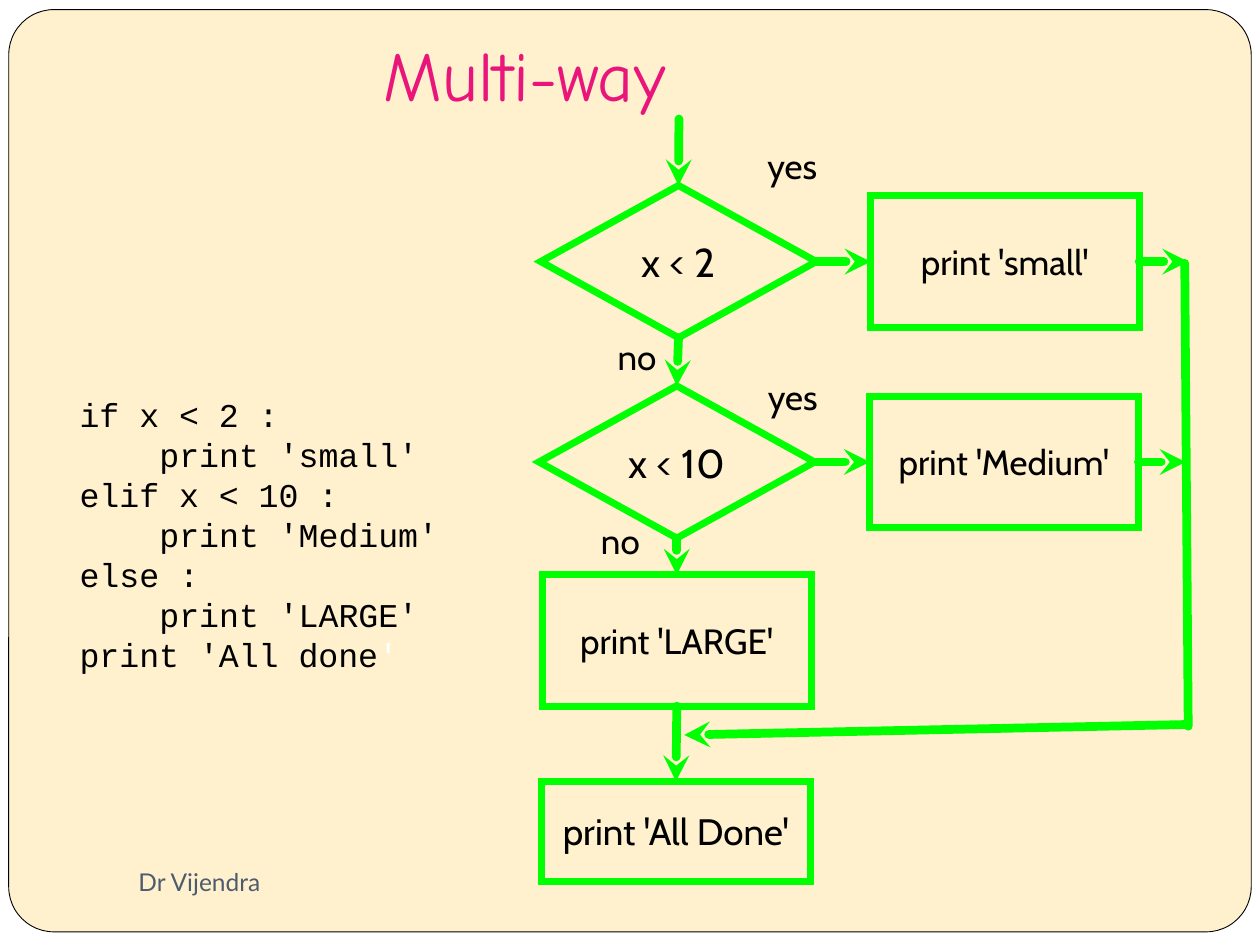
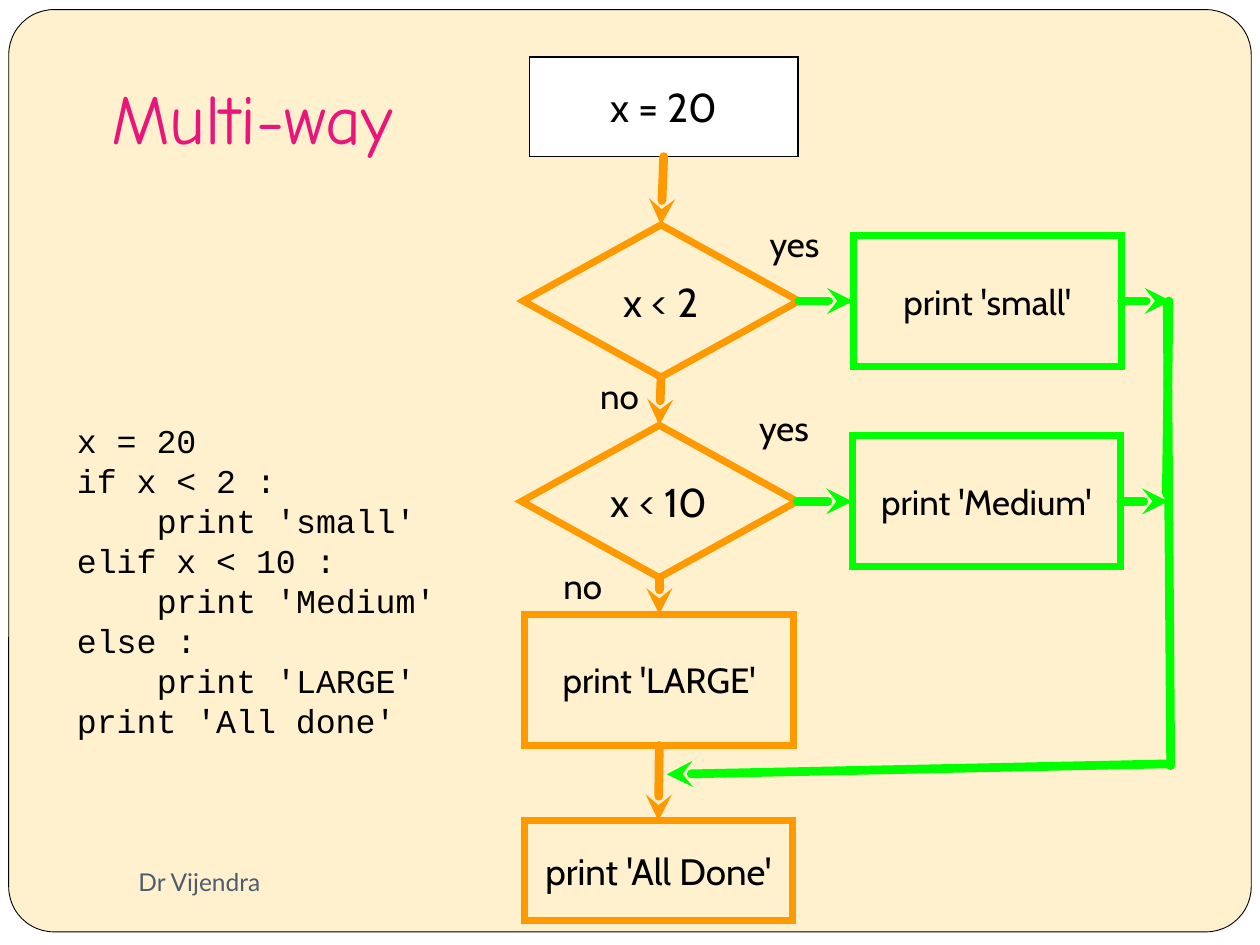
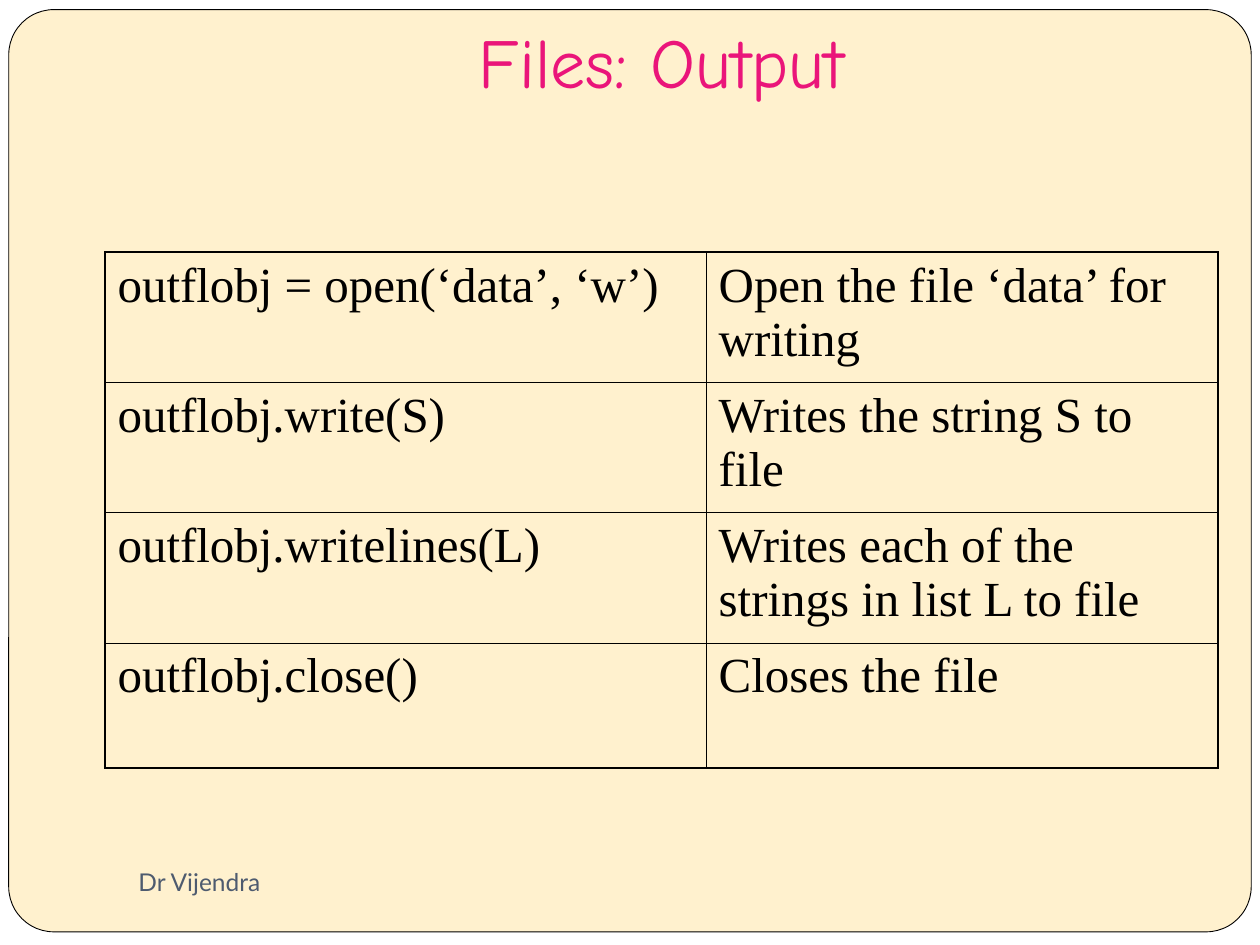
"""Build three slides on multi-way branching and file output."""
from lxml import etree
from pptx import Presentation
from pptx.dml.color import RGBColor
from pptx.enum.shapes import MSO_CONNECTOR, MSO_SHAPE
from pptx.enum.text import MSO_ANCHOR, PP_ALIGN
from pptx.oxml.ns import qn
from pptx.util import Pt

RECT, DIAMOND = MSO_SHAPE.RECTANGLE, MSO_SHAPE.DIAMOND
ROUNDED = MSO_SHAPE.ROUNDED_RECTANGLE
STRAIGHT = MSO_CONNECTOR.STRAIGHT
LEFT, CENTER = PP_ALIGN.LEFT, PP_ALIGN.CENTER
TOP, MIDDLE, BOTTOM = MSO_ANCHOR.TOP, MSO_ANCHOR.MIDDLE, MSO_ANCHOR.BOTTOM
SIDE_TOP, SIDE_LEFT, SIDE_BOTTOM, SIDE_RIGHT = range(4)

COLORS = {
    "page": "FFFFFF", "card": "FFF1CE", "title": "EA157A", "text": "000000",
    "footer": "4E5B6F", "green": "00FF00", "orange": "FF9900",
}
TITLE_FONT, CODE_FONT, CHART_FONT = "Comic Neue", "Courier New", "Cabin"
FOOTER_FONT, TABLE_FONT = "Lato", "Times New Roman"

CODE_SIZE = 19
CODE_INDENT = 4 * 0.6 * CODE_SIZE
BOX_W, BOX_H, SHORT_H = 153.5, 75, 57
DIAMOND_W, DIAMOND_H = 157.5, 87
LABEL_H = 33

BRANCH_CODE = [
    (0, "if x < 2 :"), (1, "print 'small'"),
    (0, "elif x < 10 :"), (1, "print 'Medium'"),
    (0, "else :"), (1, "print 'LARGE'"),
]
FILE_CALLS = [
    ("outflobj = open(‘data’, ‘w’)", "Open the file ‘data’ for writing"),
    ("outflobj.write(S)", "Writes the string S to file"),
    ("outflobj.writelines(L)", "Writes each of the strings in list L to file"),
    ("outflobj.close()", "Closes the file"),
]


def rgb(name):
    """Return the named colour."""
    return RGBColor.from_string(COLORS[name])


def style_run(r, font, size, color="text"):
    """Set font, size and colour of a run."""
    r.font.name, r.font.size = font, Pt(size)
    r.font.color.rgb = rgb(color)


def write(tf, text, font, size, color="text", align=CENTER, anchor=MIDDLE, insets=(0, 0, 0, 0)):
    """Fill a text frame and format all its runs."""
    tf.word_wrap, tf.vertical_anchor = True, anchor
    tf.margin_left, tf.margin_top, tf.margin_right, tf.margin_bottom = map(Pt, insets)
    tf.text = text
    for p in tf.paragraphs:
        p.alignment = align
        for r in p.runs:
            style_run(r, font, size, color)


def add_text(s, box, *args, **kwargs):
    """Add a text box and return its text frame."""
    tf = s.shapes.add_textbox(*map(Pt, box)).text_frame
    write(tf, *args, **kwargs)
    return tf


def add_box(s, kind, box, fill=None, line=None, width=4.0):
    """Add a preset shape with optional fill and a sharp outline."""
    sp = s.shapes.add_shape(kind, *map(Pt, box))
    sp.shadow.inherit = False
    if fill:
        sp.fill.solid()
        sp.fill.fore_color.rgb = rgb(fill)
    else:
        sp.fill.background()
    if line:
        sp.line.color.rgb, sp.line.width = rgb(line), Pt(width)
        etree.SubElement(sp.line._get_or_add_ln(), qn("a:miter"), lim="800000")
    else:
        sp.line.fill.background()
    return sp


def add_node(s, kind, box, text, size, line, fill=None, width=4.0):
    """Add a flowchart node with its text."""
    sp = add_box(s, kind, box, fill, line, width)
    write(sp.text_frame, text, CHART_FONT, size)
    return sp


def add_link(s, start, end, color, arrow=True):
    """Join two ends, each a point or a (shape, side) pair."""
    points = [(0, 0) if hasattr(e[0], "shape_id") else e for e in (start, end)]
    cx = s.shapes.add_connector(STRAIGHT, *(Pt(v) for point in points for v in point))
    for e, connect in ((start, cx.begin_connect), (end, cx.end_connect)):
        if hasattr(e[0], "shape_id"):
            connect(*e)
    cx.line.color.rgb, cx.line.width = rgb(color), Pt(5)
    ln = cx.line._get_or_add_ln()
    ln.set("cap", "rnd")
    if arrow:
        etree.SubElement(ln, qn("a:tailEnd"), type="stealth")
    etree.SubElement(cx._element.spPr, qn("a:effectLst"))


def add_slide(prs, title, box, anchor=MIDDLE, insets=(2, 2, 2, 2)):
    """Add a slide with the shared card, title and footer."""
    s = prs.slides.add_slide(prs.slide_layouts[6])
    s.background.fill.solid()
    s.background.fill.fore_color.rgb = rgb("card")
    add_box(s, RECT, (0, 0, 720, 540), "page")
    card = add_box(s, ROUNDED, (5, 5.5, 710, 527), "card", "text", 0.5)
    card.adjustments[0] = 0.049
    add_text(s, box, title, TITLE_FONT, 40, "title", anchor=anchor, insets=insets)
    tf = add_text(s, (72, 486, 312, 36), "Dr Vijendra", FOOTER_FONT, 14, "footer",
                  align=LEFT, insets=(7.2, 3.6, 7.2, 3.6))
    tf.paragraphs[0].space_before = Pt(8.8)
    return s


def add_code(s, box, lines):
    """Add a listing of (level, text) lines and return its text frame."""
    tf = add_text(s, box, "\n".join(text for _, text in lines), CODE_FONT, CODE_SIZE, align=LEFT)
    for p, (level, _) in zip(tf.paragraphs, lines):
        p._p.get_or_add_pPr().set("marL", str(Pt(level * CODE_INDENT)))
    return tf


def add_flowchart(s, dx, dy, color, labels):
    """Draw the branching flowchart shifted by dx, dy; return its first test."""
    def at(x, y):
        return x + dx, y + dy

    def node(kind, x, y, w, h, text, size, line):
        return add_node(s, kind, (*at(x, y), w, h), text, size, line)

    test_2 = node(DIAMOND, 309, 106, DIAMOND_W, DIAMOND_H, "x < 2", 23, color)
    test_10 = node(DIAMOND, 308, 220.5, DIAMOND_W, DIAMOND_H, "x < 10", 23, color)
    small = node(RECT, 497.5, 112, BOX_W, BOX_H, "print 'small'", 20, "green")
    medium = node(RECT, 497, 226.5, BOX_W, BOX_H, "print 'Medium'", 20, "green")
    large = node(RECT, 310, 328.5, BOX_W, BOX_H, "print 'LARGE'", 20, color)
    done = node(RECT, 309.5, 446.5, BOX_W, SHORT_H, "print 'All Done'", 21, color)

    for upper, lower in ((test_2, test_10), (test_10, large), (large, done)):
        add_link(s, (upper, SIDE_BOTTOM), (lower, SIDE_TOP), color)
    for test, result, exit_point in ((test_2, small, (679, 149.5)), (test_10, medium, (677.5, 264))):
        add_link(s, (test, SIDE_RIGHT), (result, SIDE_LEFT), "green")
        add_link(s, (result, SIDE_RIGHT), at(*exit_point), "green")
    add_link(s, at(677, 150.5), at(679, 415), "green", arrow=False)
    add_link(s, at(678.5, 414), at(391, 420), "green")

    for text, x, y, w in labels:
        add_text(s, (x, y, w, LABEL_H), text, CHART_FONT, 20)
    return test_2


def add_border(cell, side, width):
    """Draw one side of a cell's border."""
    ln = etree.SubElement(cell._tc.get_or_add_tcPr(), qn(f"a:{side}"), w=str(Pt(width)))
    fill = etree.SubElement(ln, qn("a:solidFill"))
    etree.SubElement(fill, qn("a:srgbClr"), val=COLORS["text"])


def add_file_table(s, rows):
    """Add the table of file calls with a heavier outer border."""
    widths, heights = (343.5, 292.5), (74.25, 74.25, 74.25, 71.5)
    tbl = s.shapes.add_table(len(rows), 2, Pt(60), Pt(144), Pt(sum(widths)), Pt(sum(heights))).table
    tbl.first_row = tbl.horz_banding = False
    for col, w in zip(tbl.columns, widths):
        col.width = Pt(w)
    for i, (row, h) in enumerate(zip(tbl.rows, heights)):
        row.height = Pt(h)
        for j, cell in enumerate(row.cells):
            write(cell.text_frame, rows[i][j], TABLE_FONT, 28, align=LEFT, anchor=TOP,
                  insets=(7.2, 3.6, 7.2, 3.6))
            cell.text_frame.paragraphs[0].space_before = Pt(7)
            outer = {"lnL": j == 0, "lnR": j == 1, "lnT": i == 0, "lnB": i == len(rows) - 1}
            for side, is_outer in outer.items():
                add_border(cell, side, 1.08 if is_outer else 0.45)
            cell.fill.background()


def main():
    """Build and save the presentation."""
    prs = Presentation()
    prs.slide_width, prs.slide_height = Pt(720), Pt(540)

    s = add_slide(prs, "Multi-way", (78, 12, 443.5, 60))
    tf = add_code(s, (45.5, 173.5, 226, 263.5), BRANCH_CODE + [(0, "print 'All done")])
    r = tf.paragraphs[-1].add_run()
    r.text = "'"
    style_run(r, CODE_FONT, CODE_SIZE, "page")
    test = add_flowchart(s, 0, 0, "green", [
        ("yes", 426, 78, 53.5), ("no", 352, 187, 24),
        ("yes", 432, 210, 42), ("no", 342.5, 292.5, 24)])
    add_link(s, (388, 68), (test, SIDE_TOP), "green")

    s = add_slide(prs, "Multi-way", (24.5, 18, 239, 97))
    add_code(s, (44, 181.5, 223, 300), [(0, "x = 20")] + BRANCH_CODE + [(0, "print 'All done'")])
    test = add_flowchart(s, -10, 22.5, "orange", [
        ("yes", 428.5, 122.5, 51), ("no", 342, 209.5, 24),
        ("yes", 420, 228, 56), ("no", 306, 318, 54)])
    start = add_node(s, RECT, (302.5, 32.5, BOX_W, SHORT_H), "x = 20", 23, "text", "page", 1)
    add_link(s, (start, SIDE_BOTTOM), (test, SIDE_TOP), "orange")
    add_link(s, (668, 172), (666.5, 282), "green", arrow=False)

    s = add_slide(prs, "Files: Output", (72, 21.5, 612, 44.5), BOTTOM, (7.2, 3.6, 7.2, 7.2))
    add_file_table(s, FILE_CALLS)

    prs.save("out.pptx")


if __name__ == "__main__":
    main()
